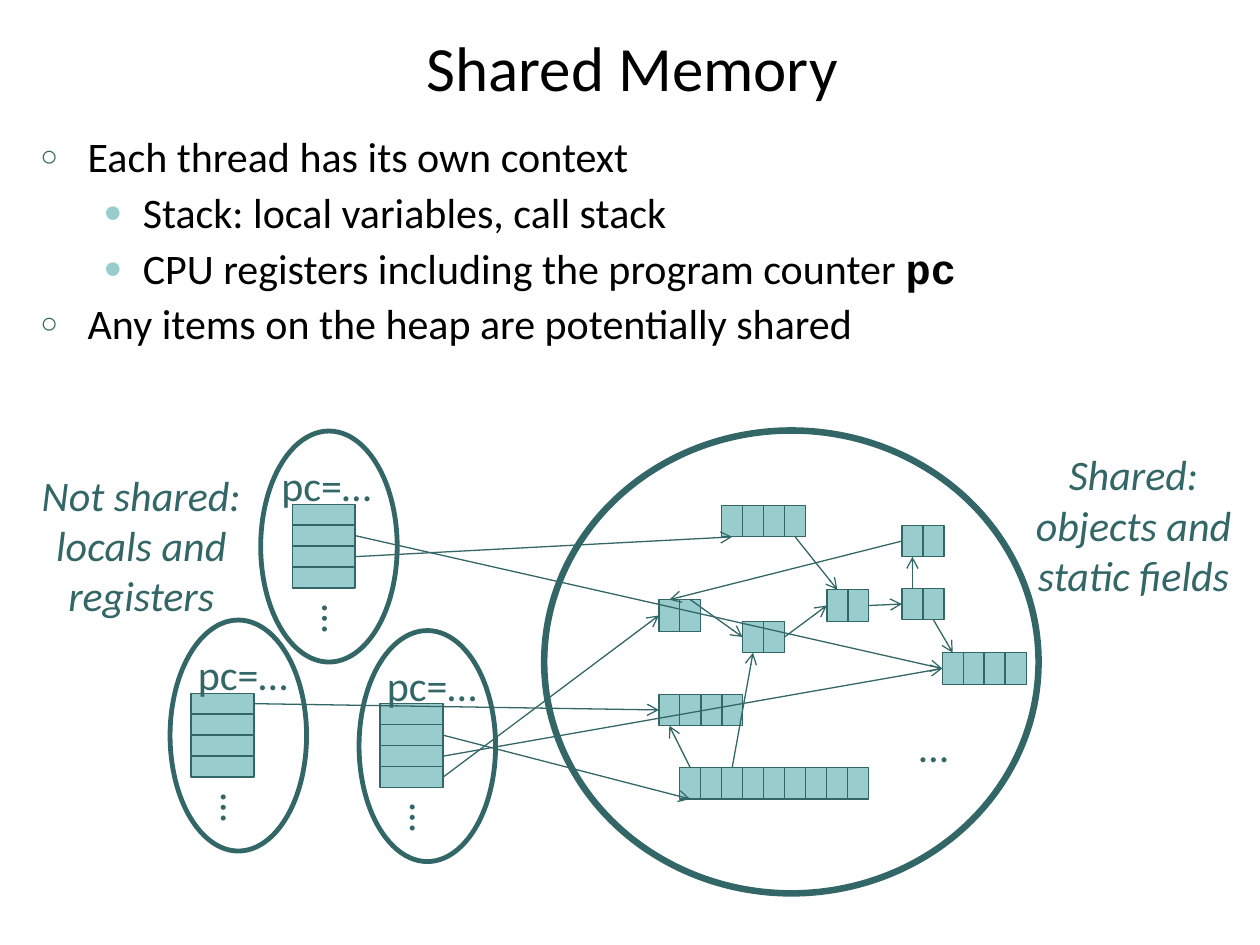
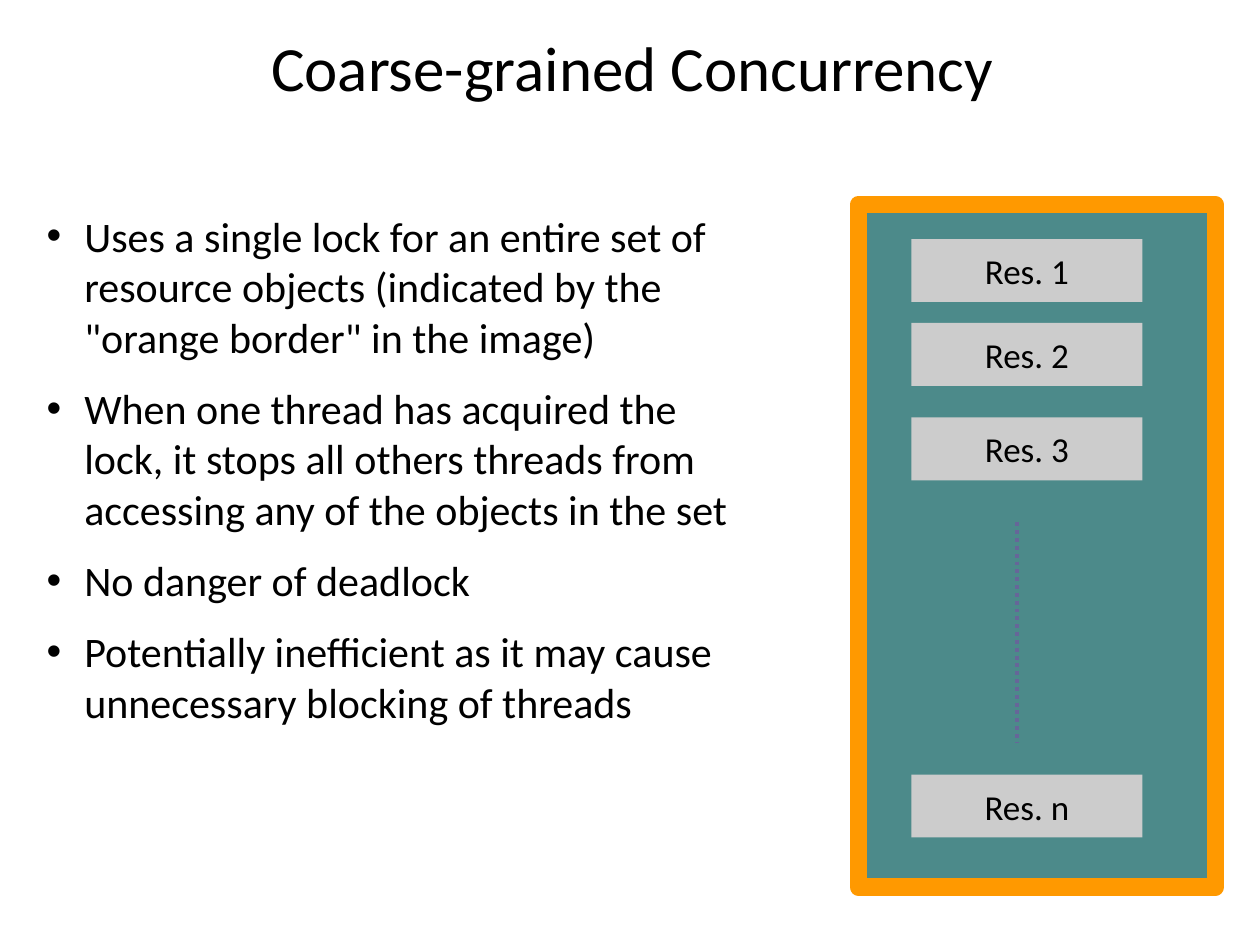
from lxml.etree import SubElement
from pptx import Presentation
from pptx.dml.color import RGBColor
from pptx.enum.dml import MSO_LINE_DASH_STYLE as Dash
from pptx.enum.shapes import MSO_CONNECTOR, MSO_SHAPE
from pptx.enum.text import MSO_ANCHOR, PP_ALIGN
from pptx.oxml.ns import qn
from pptx.util import Pt

# Shared style
BLACK = RGBColor(0x00, 0x00, 0x00)
TEAL = RGBColor(0x33, 0x66, 0x66)
AQUA = RGBColor(0x99, 0xCC, 0xCC)
PANEL = RGBColor(0x4C, 0x8A, 0x8A)
ORANGE = RGBColor(0xFF, 0x99, 0x00)
GREY = RGBColor(0xCC, 0xCC, 0xCC)
VIOLET = RGBColor(0x66, 0x66, 0x99)
FONT, MONO = "Calibri", "Courier New"
TITLE_BOX = (36.5, 0.5, 649.5, 75)

# Bullet styles: char, colour, size %, left margin, hanging indent, space before
RING = ("○", TEAL, 70, 27, 27, 3)
DISC = ("●", AQUA, 75, 58.5, 22.5, 3)
DOT = ("•", BLACK, 100, 21.6, 21.6, 12)

# Slide 1 content: each bullet has a style and runs of (text, font)
MEMORY_BULLETS = [
    (RING, [("Each thread has its own context", FONT)]),
    (DISC, [("Stack: local variables, call stack", FONT)]),
    (DISC, [("CPU registers including the program counter ", FONT), ("pc", MONO)]),
    (RING, [("Any items on the heap are potentially shared", FONT)]),
]
CAPTIONS = [
    (["Not shared:", "locals and", "registers"], (16, 264.5, 129.5, 94)),
    (["Shared:", "objects and", "static fields"], (584, 253, 127.5, 94)),
]
HEAP_OVAL = (311, 246, 282.5, 264.5)
HEAP_MORE = (517.5, 408, 32, 36)
CELL_W, CELL_H = 12, 18
SLOT_W, SLOT_H, SLOTS = 36, 12, 4
OVAL_W, OVAL_H = 78, 132

# Heap objects: left, top, number of cells
HEAP = {
    "first pair": (376.5, 342.7, 2),
    "middle row": (376.5, 396.7, 4),
    "second pair": (424.3, 355, 2),
    "third pair": (472.5, 337, 2),
    "top row": (412.4, 288.8, 4),
    "right row": (538.4, 373, 4),
    "long row": (388.4, 438.6, 9),
    "fourth pair": (515.4, 336.2, 2),
    "upper pair": (515.4, 300.2, 2),
}
# Threads: oval left, oval top, stack inset, label centre from stack left
THREADS = [(149, 246.3, 18, 19.5), (97.2, 354.3, 12, 29.5), (205.2, 360.3, 12, 29.5)]

# References: (object, side, cell) to (object, side, cell)
HEAP_REFS = [
    (("top row", "bottom", 3), ("third pair", "top", 0)),
    (("first pair", "top", 1), ("second pair", "left", 0)),
    (("second pair", "right", 1), ("third pair", "left", 0)),
    (("long row", "top", 0), ("middle row", "bottom", 0)),
    (("long row", "top", 2), ("second pair", "bottom", 0)),
    (("third pair", "right", 1), ("fourth pair", "left", 0)),
    (("fourth pair", "top", 0), ("upper pair", "bottom", 0)),
    (("upper pair", "left", 0), ("first pair", "top", 0)),
    (("fourth pair", "bottom", 1), ("right row", "top", 0)),
]
# Stack references: thread, slot, target
STACK_REFS = [
    (0, 1, ("right row", "left", 0)),
    (0, 2, ("top row", "bottom", 0)),
    (1, 0, ("middle row", "left", 0)),
    (2, 1, ("long row", "bottom", 0)),
    (2, 3, ("first pair", "left", 0)),
    (2, 2, ("right row", "left", 0)),
]

# Slide 2 content
LOCK_BULLETS = [
    (DOT, [(text, FONT)]) for text in (
        "Uses a single lock for an entire set of resource objects "
        "(indicated by the \"orange border\" in the image)",
        "When one thread has acquired the lock, it stops all others threads "
        "from accessing any of the objects in the set",
        "No danger of deadlock",
        "Potentially inefficient as it may cause unnecessary blocking of threads",
    )
]
LOCK_PANEL = (490.5, 117, 204, 390)
RESOURCES = [("Res. 1", 136.6), ("Res. 2", 184.5), ("Res. 3", 238.5), ("Res. n", 442.6)]
RES_LEFT, RES_W, RES_H = 520.8, 132, 36
GAP_LINE = ((581, 298.5), (581, 424.5))


def pts(values):
    return [Pt(v) for v in values]


def add_run(p, text, size, color=BLACK, font=FONT, bold=False, italic=False):
    r = p.add_run()
    r.text = text
    r.font.name, r.font.size = font, Pt(size)
    r.font.bold, r.font.italic = bold, italic
    r.font.color.rgb = color


def add_lines(tf, lines, size, color=BLACK, italic=False):
    """Centred lines, one paragraph each."""
    for i, line in enumerate(lines):
        p = tf.add_paragraph() if i else tf.paragraphs[0]
        p.alignment = PP_ALIGN.CENTER
        add_run(p, line, size, color, italic=italic)


def add_label(s, lines, box, size=24, italic=False, rotation=0):
    sp = s.shapes.add_textbox(*pts(box))
    sp.rotation = rotation
    sp.text_frame.word_wrap = False
    add_lines(sp.text_frame, lines, size, TEAL, italic)


def add_bullets(s, bullets, box):
    tf = s.shapes.add_textbox(*pts(box)).text_frame
    tf.word_wrap = True
    for i, ((char, color, percent, margin, hang, before), runs) in enumerate(bullets):
        p = tf.add_paragraph() if i else tf.paragraphs[0]
        p.space_before = Pt(before)
        pPr = p._p.get_or_add_pPr()
        pPr.set("marL", str(Pt(margin)))
        pPr.set("indent", str(-Pt(hang)))
        SubElement(SubElement(pPr, qn("a:buClr")), qn("a:srgbClr"), val=str(color))
        SubElement(pPr, qn("a:buSzPct"), val=str(percent * 1000))
        SubElement(pPr, qn("a:buFont"), typeface="Arial")
        SubElement(pPr, qn("a:buChar"), char=char)
        for text, font in runs:
            add_run(p, text, 24, font=font, bold=font == MONO)


def add_box(s, box, fill=None, line=None, width=0.75, kind=MSO_SHAPE.RECTANGLE):
    sp = s.shapes.add_shape(kind, *pts(box))
    sp.shadow.inherit = False
    for part, color in ((sp.fill, fill), (sp.line.fill, line)):
        if color is None:
            part.background()
        else:
            part.solid()
            part.fore_color.rgb = color
    if line is not None:
        sp.line.width = Pt(width)
    return sp


def add_line(s, start, end, color=TEAL, width=0.75, dash=None, arrow=True):
    c = s.shapes.add_connector(MSO_CONNECTOR.STRAIGHT, *pts(start + end))
    c.line.color.rgb = color
    c.line.width = Pt(width)
    if dash:
        c.line.dash_style = dash
    spPr = c._element.spPr
    if arrow:
        SubElement(spPr.find(qn("a:ln")), qn("a:tailEnd"), type="arrow")
    SubElement(spPr, qn("a:effectLst"))


def add_slide(prs, title):
    s = prs.slides.add_slide(prs.slide_layouts[6])
    tf = s.shapes.add_textbox(*pts(TITLE_BOX)).text_frame
    tf.word_wrap = True
    tf.vertical_anchor = MSO_ANCHOR.MIDDLE
    add_lines(tf, [title], 36)
    return s


def heap_point(name, side, cell):
    left, top, _ = HEAP[name]
    dx, dy = {"left": (0, 0.5), "right": (1, 0.5),
              "top": (0.5, 0), "bottom": (0.5, 1)}[side]
    return left + (cell + dx) * CELL_W, top + dy * CELL_H


def stack_origin(thread):
    left, top, inset, _ = THREADS[thread]
    return left + inset, top + 41.8


def memory_slide(prs):
    s = add_slide(prs, "Shared Memory")
    add_bullets(s, MEMORY_BULLETS, (16, 71.3, 696, 130))

    # Heap and its objects
    add_box(s, HEAP_OVAL, line=TEAL, width=3.75, kind=MSO_SHAPE.OVAL)
    for left, top, count in HEAP.values():
        for i in range(count):
            add_box(s, (left + i * CELL_W, top, CELL_W, CELL_H), AQUA, TEAL)
    add_label(s, ["…"], HEAP_MORE)

    # Threads with their stacks
    for i, (left, top, _, label_dx) in enumerate(THREADS):
        x, y = stack_origin(i)
        add_box(s, (left, top, OVAL_W, OVAL_H), line=TEAL, width=2.75, kind=MSO_SHAPE.OVAL)
        for k in range(SLOTS):
            add_box(s, (x, y + k * SLOT_H, SLOT_W, SLOT_H), AQUA, TEAL)
        add_label(s, ["pc=…"], (x + label_dx - 33, top + 13, 66, 36))
        add_label(s, ["…"], (x + 10.7, top + 89.3, 32, 36), rotation=90)

    # References
    for start, end in HEAP_REFS:
        add_line(s, heap_point(*start), heap_point(*end))
    for thread, slot, target in STACK_REFS:
        x, y = stack_origin(thread)
        add_line(s, (x + SLOT_W, y + (slot + 0.5) * SLOT_H), heap_point(*target))

    for lines, box in CAPTIONS:
        add_label(s, lines, box, italic=True)


def lock_slide(prs):
    s = add_slide(prs, "Coarse-grained Concurrency")
    add_box(s, LOCK_PANEL, PANEL, ORANGE, 10)
    for name, top in RESOURCES:
        tf = add_box(s, (RES_LEFT, top, RES_W, RES_H), GREY).text_frame
        tf.word_wrap = False
        tf.vertical_anchor = MSO_ANCHOR.MIDDLE
        add_lines(tf, [name], 20)
    add_line(s, *GAP_LINE, VIOLET, 2.25, Dash.ROUND_DOT, arrow=False)
    add_bullets(s, LOCK_BULLETS, (19.5, 116.6, 420, 356.5))


def main():
    prs = Presentation()
    prs.slide_width, prs.slide_height = Pt(720), Pt(540)
    memory_slide(prs)
    lock_slide(prs)
    prs.save("out.pptx")


if __name__ == "__main__":
    main()
